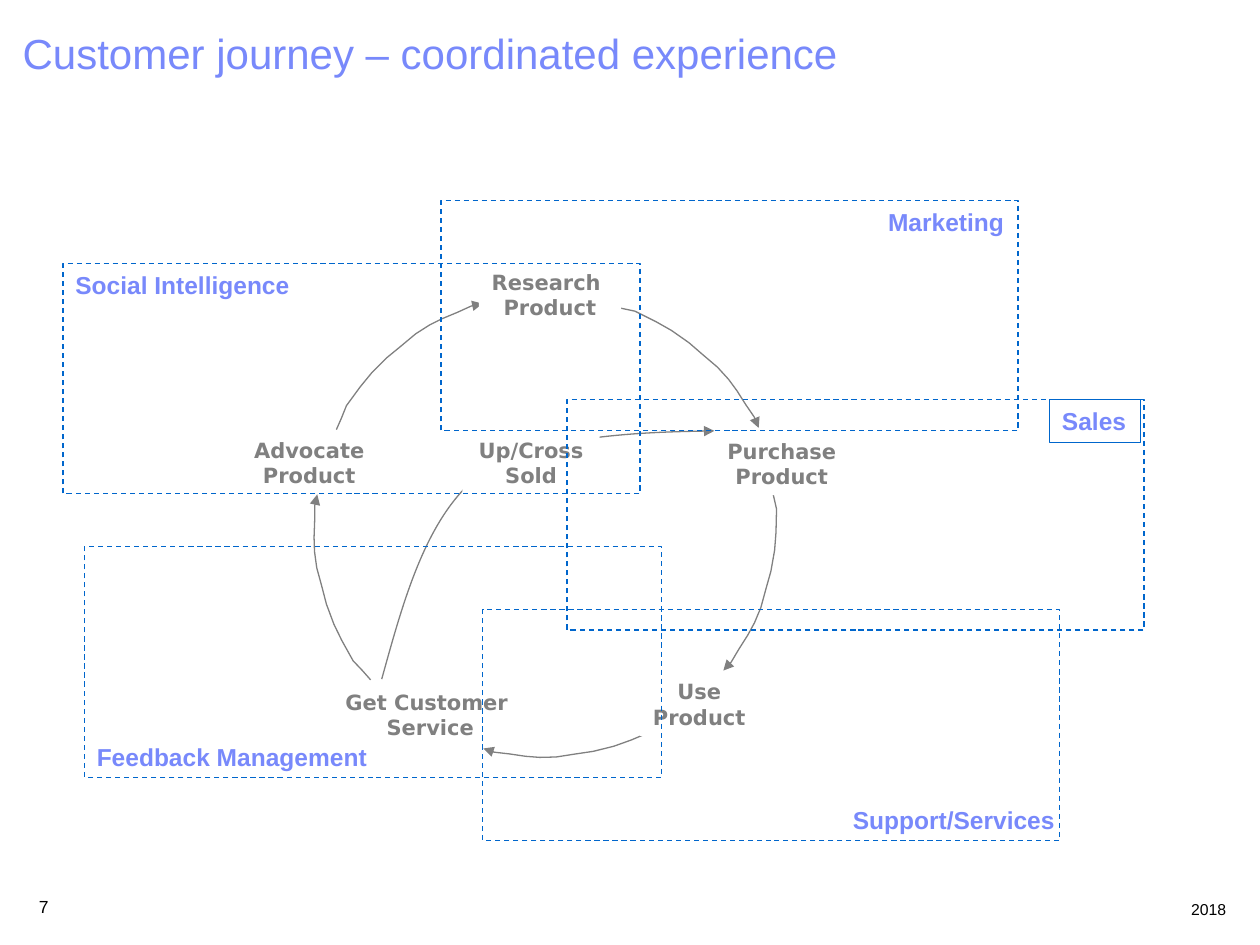
from lxml import etree
from pptx import Presentation
from pptx.dml.color import RGBColor
from pptx.enum.dml import MSO_LINE
from pptx.enum.shapes import MSO_SHAPE
from pptx.enum.text import MSO_ANCHOR, PP_ALIGN
from pptx.oxml.ns import qn
from pptx.util import Inches, Pt

RECTANGLE = MSO_SHAPE.RECTANGLE
DASH = MSO_LINE.DASH
TOP = MSO_ANCHOR.TOP
LEFT, CENTER, RIGHT = PP_ALIGN.LEFT, PP_ALIGN.CENTER, PP_ALIGN.RIGHT

BLUE, PERIWINKLE, GRAY = "0066CC", "7889FB", "808080"
WHITE, BLACK = "FFFFFF", "000000"

AREA_SIZE = (4.58, 1.83)
AREAS = [(3.5, 1.59), (4.5, 3.17), (3.83, 4.84), (0.67, 4.34), (0.5, 2.09)]
AREA_LABELS = [
    ("Marketing", 6.95, 1.59, 1.13),
    ("Sales", 8.33, 3.17, 0.72),
    ("Support/Services", 6.67, 6.34, 1.82),
    ("Feedback Management", 0.67, 5.84, 2.36),
    ("Social Intelligence", 0.5, 2.09, 1.96),
]
STEPS = [
    (["Research ", "Product"], 3.8, 2.09, 1.13),
    (["Purchase", "Product"], 5.67, 3.43, 1.07),
    (["Use", "Product"], 5.08, 5.34, 0.94),
    (["Get Customer ", "Service"], 2.64, 5.42, 1.55),
    (["Advocate", "Product"], 1.92, 3.42, 1.07),
    (["Up/Cross", "Sold"], 3.67, 3.42, 1.09),
]
ARC = [
    (0, 1), (0.04, 0.91), (0.08, 0.81), (0.19, 0.66), (0.28, 0.55),
    (0.4, 0.43), (0.51, 0.34), (0.63, 0.24), (0.74, 0.17), (0.84, 0.12),
    (0.96, 0.07), (1.07, 0.02), (1.16, 0),
]
ARC_PLACES = [
    (2.67, 2.41, 0), (4.85, 2.41, 80.2), (5.35, 4.08, 145.1),
    (4.01, 5.31, 211), (2.15, 4.16, 294.7),
]
UPSELL_CURVE = [
    (3.03, 5.39), (3.21, 4.74), (3.39, 4.08), (3.83, 3.75),
    (4.27, 3.43), (5.67, 3.42), (5.67, 3.42),
]


def color(hex_string):
    return RGBColor.from_string(hex_string)


class JourneySlide:
    line_width = Pt(0.75)
    heading_font = "Arial"
    step_font = "DejaVu Sans"

    def __init__(self, slide):
        self.slide = slide

    def set_text(self, shape, lines, size, hex_color, font, bold=False, align=LEFT, wrap=False):
        frame = shape.text_frame
        frame.word_wrap = wrap
        frame.vertical_anchor = TOP
        frame.text = "\n".join(lines)
        for paragraph in frame.paragraphs:
            paragraph.alignment = align
            paragraph.font.size = Pt(size)
            paragraph.font.bold = bold
            paragraph.font.name = font
            paragraph.font.color.rgb = color(hex_color)

    def text(self, text, left, top, width, height, size, hex_color, **style):
        box = self.slide.shapes.add_textbox(*map(Inches, (left, top, width, height)))
        self.set_text(box, [text], size, hex_color, self.heading_font, **style)
        return box

    def outline(self, shape, hex_color):
        shape.line.color.rgb = color(hex_color)
        shape.line.width = self.line_width

    def rectangle(self, left, top, width, height):
        shape = self.slide.shapes.add_shape(
            RECTANGLE, *map(Inches, (left, top, width, height)))
        shape.shadow.inherit = False
        shape.fill.background()
        return shape

    def area(self, left, top):
        shape = self.rectangle(left, top, *AREA_SIZE)
        self.outline(shape, BLUE)
        shape.line.dash_style = DASH

    def area_label(self, text, left, top, width):
        label = self.text(text, left, top, width, 0.34, 14, PERIWINKLE, bold=True)
        if text == "Sales":
            self.outline(label, BLUE)

    def step(self, lines, left, top, width):
        shape = self.rectangle(left, top, width, 0.5)
        shape.fill.solid()
        shape.fill.fore_color.rgb = color(WHITE)
        shape.line.fill.background()
        self.set_text(shape, lines, 12, GRAY, self.step_font, bold=True, align=CENTER)

    def arrow(self, points, left=0, top=0, rotation=0):
        start, *rest = [(Inches(left + x), Inches(top + y)) for x, y in points]
        builder = self.slide.shapes.build_freeform(*start)
        builder.add_line_segments(rest, close=False)
        shape = builder.convert_to_shape()
        shape.shadow.inherit = False
        shape.fill.background()
        shape.rotation = rotation
        self.outline(shape, GRAY)
        line = shape.element.spPr.find(qn("a:ln"))
        etree.SubElement(line, qn("a:tailEnd"), type="triangle")
        return shape

    def curved_arrow(self, points):
        shape = self.arrow(points)
        segments = list(shape.element.iter(qn("a:lnTo")))
        for index in range(0, len(segments), 3):
            group = segments[index:index + 3]
            curve = etree.Element(qn("a:cubicBezTo"))
            group[0].addprevious(curve)
            for segment in group:
                curve.append(segment[0])
                segment.getparent().remove(segment)


def main():
    presentation = Presentation()
    presentation.slide_width = Inches(10)
    presentation.slide_height = Inches(7.5)
    journey = JourneySlide(presentation.slides.add_slide(presentation.slide_layouts[6]))

    journey.text("2018", 6.49, 7.09, 3.34, 0.25, 9, BLACK, align=RIGHT, wrap=True)
    journey.text("7", 0.21, 7.06, 0.6, 0.27, 10, BLACK, wrap=True)
    title = journey.text("Customer journey – coordinated experience",
                         0.18, 0.17, 9.5, 0.8, 24, PERIWINKLE, wrap=True)
    title.text_frame.margin_left = 0

    journey.curved_arrow(UPSELL_CURVE)
    for place in ARC_PLACES:
        journey.arrow(ARC, *place)
    for step in STEPS:
        journey.step(*step)
    for area in AREAS:
        journey.area(*area)
    for label in AREA_LABELS:
        journey.area_label(*label)

    presentation.save("out.pptx")


if __name__ == "__main__":
    main()
